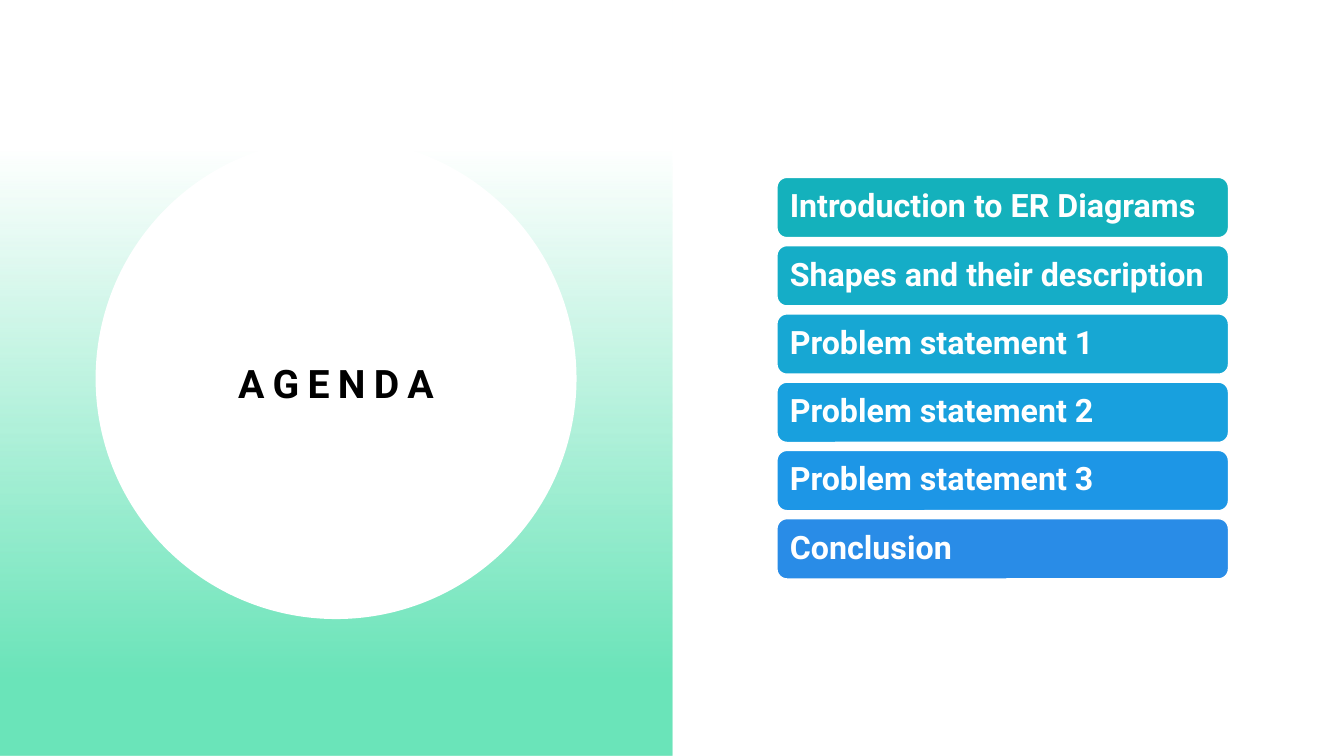
from dataclasses import dataclass

from lxml.etree import SubElement
from pptx import Presentation
from pptx.dml.color import RGBColor
from pptx.enum.shapes import MSO_SHAPE as Preset
from pptx.enum.text import MSO_ANCHOR as Anchor, PP_ALIGN as Align
from pptx.oxml.ns import qn
from pptx.shapes.autoshape import Shape
from pptx.slide import Slide
from pptx.util import Cm, Pt

FONT = "Roboto"
GREEN = "6AE4B9"
WHITE = "FFFFFF"
BLACK = "000000"
SLIDE_WIDTH, SLIDE_HEIGHT = 33.87, 19.05
BAR_LEFT, BAR_TOP, BAR_WIDTH, BAR_HEIGHT = 19.58, 4.47, 11.38, 1.52
BAR_PITCH = 1.72
CIRCLE_LEFT, CIRCLE_TOP, CIRCLE_SIZE = 2.41, 3.48, 12.12


@dataclass(frozen=True)
class AgendaItem:
    text: str
    color: str


AGENDA = [
    AgendaItem("Introduction to ER Diagrams", "14B1BC"),
    AgendaItem("Shapes and their description", "15ADC7"),
    AgendaItem("Problem statement 1", "17A7D3"),
    AgendaItem("Problem statement 2", "18A0DE"),
    AgendaItem("Problem statement 3", "1D96E6"),
    AgendaItem("Conclusion", "298CE7"),
]


def rgb(color: str) -> RGBColor:
    return RGBColor.from_string(color)


def add_filled(slide: Slide, preset: Preset, left: float, top: float,
               width: float, height: float, color: str) -> Shape:
    shape = slide.shapes.add_shape(preset, Cm(left), Cm(top), Cm(width), Cm(height))
    shape.shadow.inherit = False
    shape.fill.solid()
    shape.fill.fore_color.rgb = rgb(color)
    shape.line.fill.background()
    return shape


def write_text(shape: Shape, text: str, size: float, color: str,
               align: Align, line_spacing: float, tracking: int = 0) -> None:
    frame = shape.text_frame
    frame.word_wrap = True
    frame.vertical_anchor = Anchor.MIDDLE
    paragraph = frame.paragraphs[0]
    paragraph.alignment = align
    paragraph.line_spacing = line_spacing
    run = paragraph.add_run()
    run.text = text
    run.font.name = FONT
    run.font.size = Pt(size)
    run.font.bold = True
    run.font.color.rgb = rgb(color)
    if tracking:
        run.font._element.set("spc", str(tracking * 100))


def add_fading_panel(slide: Slide) -> None:
    panel = add_filled(slide, Preset.RECTANGLE, 0, 0, SLIDE_WIDTH / 2, SLIDE_HEIGHT, GREEN)
    panel.fill.gradient()
    panel.fill.gradient_angle = 270
    for stop, position in zip(panel.fill.gradient_stops, (0.2, 0.9)):
        stop.position = position
        stop.color.rgb = rgb(GREEN)
    clear_color = next(panel._element.spPr.iter(qn("a:srgbClr")))
    SubElement(clear_color, qn("a:alpha"), val="0")


def add_title_circle(slide: Slide) -> None:
    circle = add_filled(slide, Preset.OVAL, CIRCLE_LEFT, CIRCLE_TOP,
                        CIRCLE_SIZE, CIRCLE_SIZE, WHITE)
    write_text(circle, "AGENDA", 28, BLACK, Align.CENTER, 1.2, tracking=6)


def add_agenda_bar(slide: Slide, item: AgendaItem, top: float) -> None:
    bar = add_filled(slide, Preset.ROUNDED_RECTANGLE, BAR_LEFT, top,
                     BAR_WIDTH, BAR_HEIGHT, item.color)
    bar.line.color.rgb = rgb(WHITE)
    bar.line.width = Pt(1)
    frame = bar.text_frame
    frame.margin_left = frame.margin_right = Cm(0.25)
    frame.margin_top = frame.margin_bottom = Cm(0.25)
    write_text(bar, item.text, 23, WHITE, Align.LEFT, 0.9)


def main() -> None:
    presentation = Presentation()
    presentation.slide_width = Cm(SLIDE_WIDTH)
    presentation.slide_height = Cm(SLIDE_HEIGHT)
    slide = presentation.slides.add_slide(presentation.slide_layouts[6])
    add_fading_panel(slide)
    add_title_circle(slide)
    for index, item in enumerate(AGENDA):
        add_agenda_bar(slide, item, BAR_TOP + index * BAR_PITCH)
    presentation.save("out.pptx")


if __name__ == "__main__":
    main()
